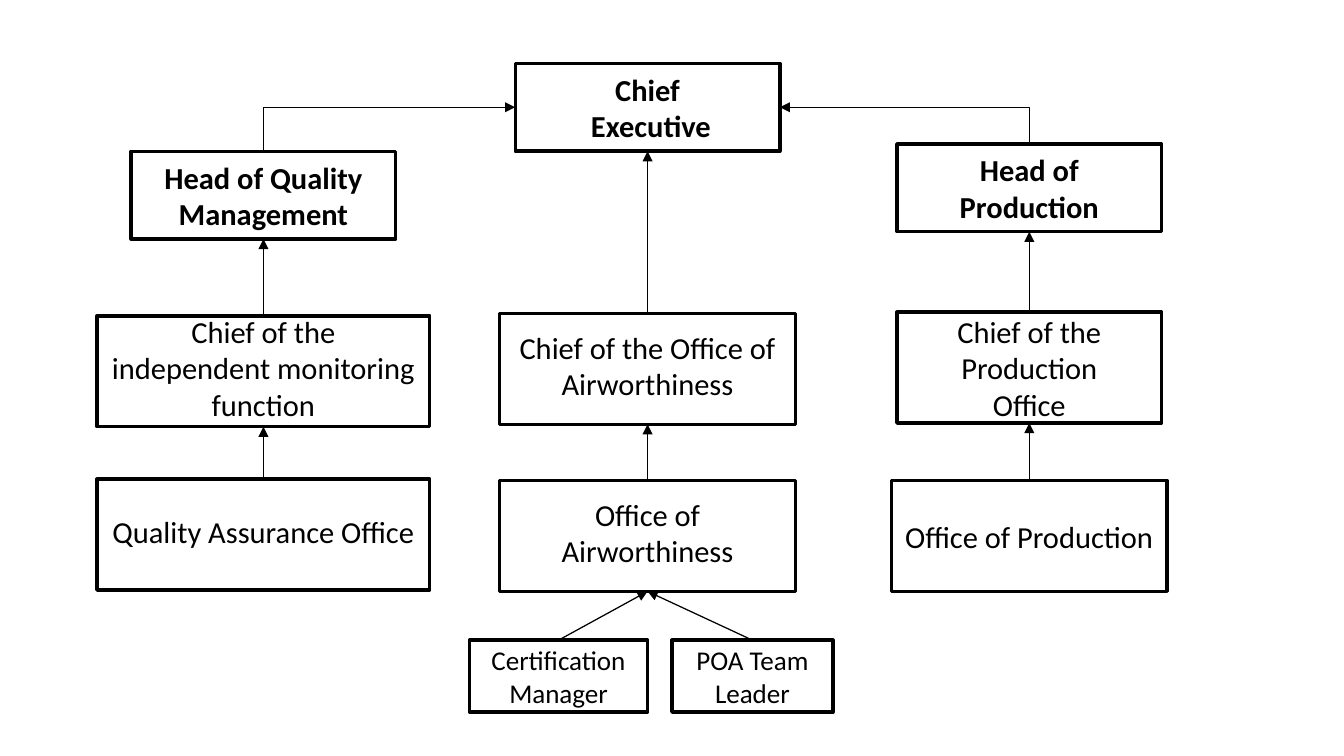
from lxml import etree
from pptx import Presentation
from pptx.dml.color import RGBColor
from pptx.enum.shapes import MSO_CONNECTOR, MSO_SHAPE
from pptx.enum.text import MSO_ANCHOR, PP_ALIGN
from pptx.oxml.ns import qn
from pptx.util import Inches, Pt

BLACK = "000000"
WHITE = "FFFFFF"
TOP, LEFT, BOTTOM, RIGHT = range(4)
QUALITY_X, CENTER_X, PRODUCTION_X = 2.16, 5.31, 8.44
HEAD_SIZE = (2.17, 0.72)
OFFICE_HEIGHT = 0.91


def color(hex_string):
    return RGBColor.from_string(hex_string)


def write_text(shape, text, font_size=18, bold=False, bottom_inset=0.05):
    """Centre the text in the shape; each line of text becomes a paragraph."""
    frame = shape.text_frame
    frame.word_wrap = True
    frame.vertical_anchor = MSO_ANCHOR.MIDDLE
    frame.margin_left = frame.margin_right = Inches(0.1)
    frame.margin_top = Inches(0.05)
    frame.margin_bottom = Inches(bottom_inset)
    frame.text = text
    for paragraph in frame.paragraphs:
        paragraph.alignment = PP_ALIGN.CENTER
        font = paragraph.runs[0].font
        font.name = "Calibri"
        font.size = Pt(font_size)
        font.bold = bold
        font.color.rgb = color(BLACK)


def add_box(slide, text, center_x, top, box_size, **text_format):
    width, height = box_size
    shape = slide.shapes.add_shape(
        MSO_SHAPE.RECTANGLE, Inches(center_x - width / 2), Inches(top),
        Inches(width), Inches(height))
    shape.shadow.inherit = False
    shape.fill.solid()
    shape.fill.fore_color.rgb = color(WHITE)
    shape.line.color.rgb = color(BLACK)
    shape.line.width = Pt(2)
    write_text(shape, text, **text_format)
    return shape


def join(slide, kind, start, start_side, end, end_side, arrow_end):
    """Link two box sides; arrow_end is headEnd (at start) or tailEnd (at end)."""
    connector = slide.shapes.add_connector(kind, 0, 0, 0, 0)
    connector.begin_connect(start, start_side)
    connector.end_connect(end, end_side)
    connector.line.color.rgb = color(BLACK)
    connector.line.width = Pt(0.75)
    properties = connector._element.spPr
    etree.SubElement(properties.find(qn("a:ln")), qn(f"a:{arrow_end}"), type="triangle")
    etree.SubElement(properties, qn("a:effectLst"))
    return connector


def report_up(slide, lower, upper):
    join(slide, MSO_CONNECTOR.STRAIGHT, lower, TOP, upper, BOTTOM, "tailEnd")


def report_to_side(slide, executive, side, head):
    """Draw a one-corner link whose arrow points at the executive's side."""
    connector = join(slide, MSO_CONNECTOR.ELBOW, executive, side, head, TOP, "headEnd")
    connector._element.spPr.find(qn("a:prstGeom")).set("prst", "bentConnector2")


def main():
    presentation = Presentation()
    presentation.slide_width = Inches(11.02)
    presentation.slide_height = Inches(6.2)
    slide = presentation.slides.add_slide(presentation.slide_layouts[6])

    executive = add_box(slide, "Chief\n Executive", CENTER_X, 0.52, HEAD_SIZE, bold=True)
    quality_head = add_box(slide, "Head of Quality Management", QUALITY_X, 1.24,
                           HEAD_SIZE, bold=True)
    production_head = add_box(slide, "Head of Production", PRODUCTION_X, 1.18,
                              HEAD_SIZE, bold=True)

    # Each column: top box, centre, bottom inset, then (text, top, width) downwards
    columns = [
        (quality_head, QUALITY_X, 0.11, [
            ("Chief of the independent monitoring function", 2.59, 2.73),
            ("Quality Assurance Office", 3.93, 2.73)]),
        (executive, CENTER_X, 0.11, [
            ("Chief of the Office of Airworthiness", 2.57, 2.43),
            ("Office of Airworthiness", 3.94, 2.43)]),
        (production_head, PRODUCTION_X, 0.05, [
            ("Chief of the Production\nOffice", 2.56, 2.17),
            ("Office of Production", 3.94, 2.26)]),
    ]
    lowest = {}
    for upper, center_x, inset, offices in columns:
        for text, top, width in offices:
            office = add_box(slide, text, center_x, top, (width, OFFICE_HEIGHT),
                             bottom_inset=inset)
            report_up(slide, office, upper)
            upper = office
        lowest[center_x] = upper

    for text, center_x, width in [("Certification Manager", 4.58, 1.46),
                                  ("POA Team Leader", 6.17, 1.32)]:
        member = add_box(slide, text, center_x, 5.25, (width, 0.59), font_size=16)
        report_up(slide, member, lowest[CENTER_X])

    report_to_side(slide, executive, LEFT, quality_head)
    report_to_side(slide, executive, RIGHT, production_head)

    presentation.save("out.pptx")


if __name__ == "__main__":
    main()
